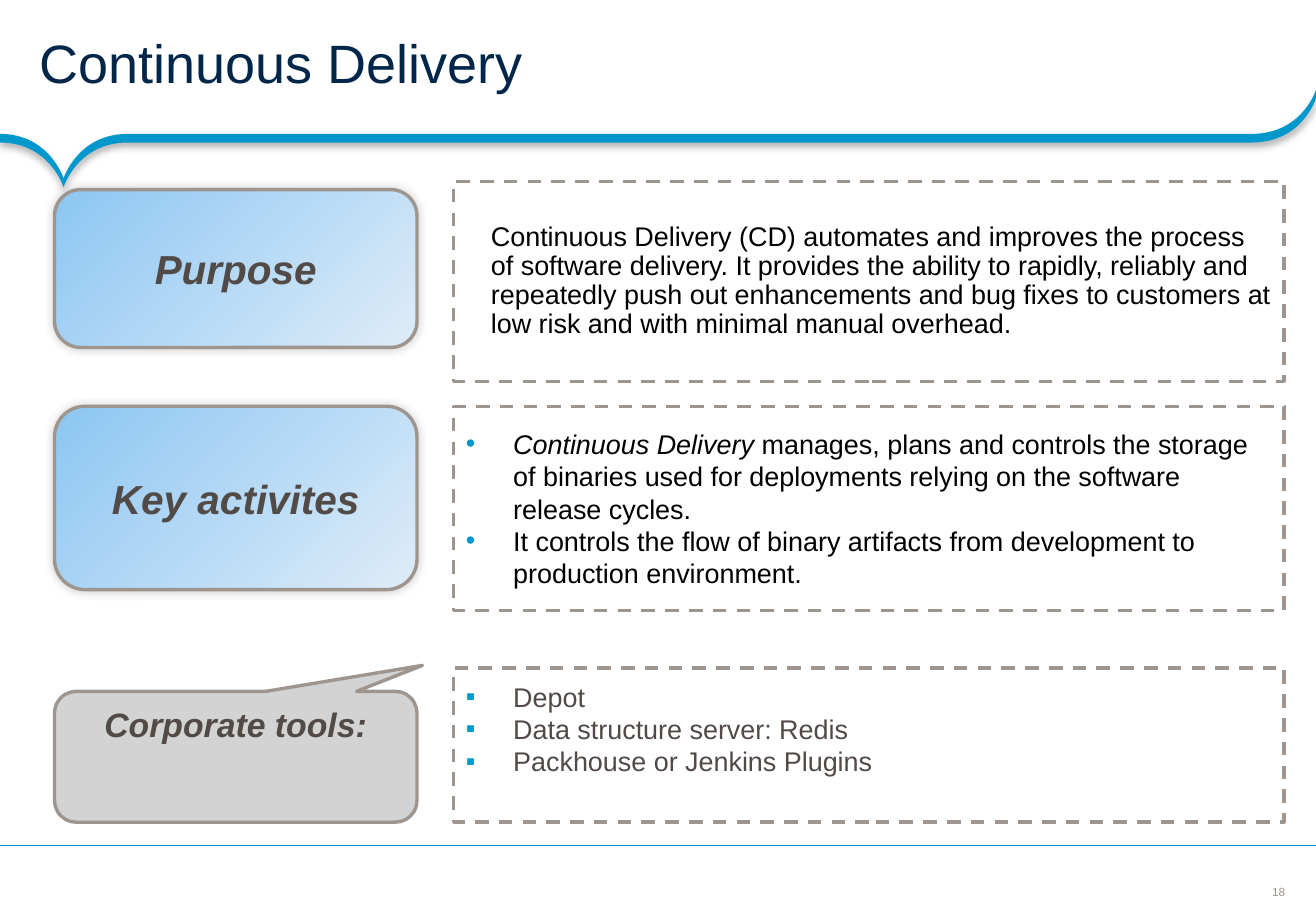
from lxml import etree
from pptx import Presentation
from pptx.dml.color import RGBColor
from pptx.enum.dml import MSO_LINE
from pptx.enum.shapes import MSO_CONNECTOR, MSO_SHAPE
from pptx.enum.text import MSO_ANCHOR, MSO_AUTO_SIZE, PP_ALIGN
from pptx.oxml.ns import qn
from pptx.util import Pt

COLORS = {"blue": "0098CC", "navy": "00264A", "taupe": "9F958F", "brown": "514A46",
          "sky": "8CC6F2", "pale": "DEECF9", "grey": "D3D3D3", "white": "FFFFFF",
          "black": "000000"}
WIDTH, HEIGHT = 780, 540
LABEL_X, LABEL_W = 32.3, 214.9
PANEL_X, PANEL_W = 268.9, 492.3


def rgb(name):
    return RGBColor.from_string(COLORS[name])


def place(sp, x, y, w, h):
    sp.left, sp.top, sp.width, sp.height = Pt(x), Pt(y), Pt(w), Pt(h)


def style_runs(p, size, color, bold=False, italic=False):
    for r in p.runs:
        f = r.font
        f.name, f.size, f.bold, f.italic = "Arial", Pt(size), bold, italic
        f.color.rgb = rgb(color)


def outline(sp, dashed=False):
    sp.line.color.rgb = rgb("taupe")
    sp.line.width = Pt(2)
    if dashed:
        sp.line.dash_style = MSO_LINE.DASH


def add_shadow(sp, blur, dist, angle, alpha):
    sp.shadow.inherit = False
    effects = sp._element.spPr.find(qn("a:effectLst"))
    shadow = etree.SubElement(effects, qn("a:outerShdw"), blurRad=str(Pt(blur)),
                              dist=str(Pt(dist)), dir=str(angle * 60000),
                              algn="ctr", rotWithShape="0")
    color = etree.SubElement(shadow, qn("a:srgbClr"), val=COLORS["black"])
    etree.SubElement(color, qn("a:alpha"), val=str(alpha * 1000))


def ribbon_edge(y):
    """Start, then three Bezier points per piece, left to right, level part at y."""
    tip, corner = (37.7, y + 26.4), (WIDTH, y - 26.2)
    left, right = (75.6, y), (741.9, y)
    return [(0, y), (29.3, y), tip, tip,
            tip, (46.1, y), left,
            left, right, right,
            (772, y), corner, corner]


def add_ribbon(s, top, bottom):
    upper, lower = ribbon_edge(top), ribbon_edge(bottom)[::-1]
    ys = [y for _, y in upper + lower]
    y0, y1 = min(ys), max(ys)
    builder = s.shapes.build_freeform(0, Pt(y0), scale=1)
    builder.add_line_segments([(Pt(WIDTH), Pt(y0)), (Pt(WIDTH), Pt(y1)), (0, Pt(y1))])
    sp = builder.convert_to_shape()
    outline_path = next(sp._element.iter(qn("a:path")))
    for child in list(outline_path):
        outline_path.remove(child)

    def draw(tag, points):
        step = etree.SubElement(outline_path, qn(tag))
        for x, y in points:
            etree.SubElement(step, qn("a:pt"), x=str(Pt(x)), y=str(Pt(y - y0)))

    for tag, edge in (("a:moveTo", upper), ("a:lnTo", lower)):
        draw(tag, edge[:1])
        for i in range(1, len(edge), 3):
            draw("a:cubicBezTo", edge[i:i + 3])
    draw("a:close", [])
    sp.fill.solid()
    sp.fill.fore_color.rgb = rgb("blue")
    sp.line.fill.background()
    add_shadow(sp, 4, 2, 90, 31)


def add_footer(s, y):
    line = s.shapes.add_connector(MSO_CONNECTOR.STRAIGHT, Pt(WIDTH), Pt(y), 0, Pt(y))
    line.line.color.rgb = rgb("blue")
    line.line.width = Pt(0.75)
    etree.SubElement(line._element.spPr, qn("a:effectLst"))
    tf = s.shapes.add_textbox(Pt(753.5), Pt(y + 23.3), Pt(8.6), Pt(8.6)).text_frame
    tf.margin_left = tf.margin_right = tf.margin_top = tf.margin_bottom = 0
    tf.vertical_anchor = MSO_ANCHOR.MIDDLE
    tf.word_wrap = False
    p = tf.paragraphs[0]
    p.text, p.alignment = "18", PP_ALIGN.CENTER
    style_runs(p, 7, "taupe")


def add_title(s, text):
    sp = s.shapes.title
    place(sp, 0, 0, WIDTH, 79.4)
    tf = sp.text_frame
    tf.text = text
    tf.auto_size = MSO_AUTO_SIZE.NONE
    tf.vertical_anchor = MSO_ANCHOR.MIDDLE
    tf.margin_left, tf.margin_right = Pt(23.4), Pt(13)
    tf.margin_top = tf.margin_bottom = Pt(2.9)
    p = tf.paragraphs[0]
    p.alignment, p.line_spacing = PP_ALIGN.LEFT, 0.85
    style_runs(p, 32, "navy")


def add_label(s, text, y, h, size=24, kind=MSO_SHAPE.ROUNDED_RECTANGLE):
    sp = s.shapes.add_shape(kind, Pt(LABEL_X), Pt(y), Pt(LABEL_W), Pt(h))
    sp.shadow.inherit = False
    outline(sp)
    tf = sp.text_frame
    tf.word_wrap = True
    tf.vertical_anchor = MSO_ANCHOR.MIDDLE
    p = tf.paragraphs[0]
    p.text, p.alignment = text, PP_ALIGN.CENTER
    style_runs(p, size, "brown", bold=True, italic=True)
    return sp


def add_gradient_label(s, text, y, h):
    sp = add_label(s, text, y, h)
    sp.fill.gradient()
    sp.fill.gradient_angle = 315
    for stop, name in zip(sp.fill.gradient_stops, ("sky", "pale")):
        stop.color.rgb = rgb(name)
    add_shadow(sp, 6, 0, 225, 20)


def add_callout_label(s, text, y, h):
    sp = add_label(s, text, y, h, 20, MSO_SHAPE.ROUNDED_RECTANGULAR_CALLOUT)
    for i, value in enumerate((0.515, -0.698, 0.167)):
        sp.adjustments[i] = value
    sp.fill.solid()
    sp.fill.fore_color.rgb = rgb("grey")
    sp.text_frame.vertical_anchor = MSO_ANCHOR.TOP


def style_panel(sp, y, h):
    place(sp, PANEL_X, y, PANEL_W, h)
    sp.fill.solid()
    sp.fill.fore_color.rgb = rgb("white")
    outline(sp, dashed=True)
    tf = sp.text_frame
    tf.word_wrap = True
    tf.auto_size = MSO_AUTO_SIZE.NONE
    tf.vertical_anchor = MSO_ANCHOR.MIDDLE
    return tf


def add_text_panel(s, text, y, h):
    sp = s.shapes.add_shape(MSO_SHAPE.RECTANGLE, 0, 0, Pt(PANEL_W), Pt(h))
    sp.shadow.inherit = False
    p = style_panel(sp, y, h).paragraphs[0]
    p.text, p.alignment, p.line_spacing = text, PP_ALIGN.LEFT, 0.9
    p._p.get_or_add_pPr().set("marL", str(Pt(15)))
    style_runs(p, 16, "black")


def fill_list_panel(sp, items, y, h, bullet, color):
    tf = style_panel(sp, y, h)
    tf.text = "\n".join(items)
    for p in tf.paragraphs:
        pPr = p._p.get_or_add_pPr()
        pPr.set("marL", str(Pt(28.1)))
        pPr.set("indent", str(-Pt(28.1)))
        bullet_color = etree.SubElement(pPr, qn("a:buClr"))
        etree.SubElement(bullet_color, qn("a:srgbClr"), val=COLORS["blue"])
        etree.SubElement(pPr, qn("a:buChar"), char=bullet)
        p.space_before = Pt(0)
        style_runs(p, 16, color)
    return tf


def main():
    prs = Presentation()
    prs.slide_width, prs.slide_height = Pt(WIDTH), Pt(HEIGHT)
    s = prs.slides.add_slide(prs.slide_layouts[3])
    activities, tools = s.placeholders[1], s.placeholders[2]

    add_ribbon(s, 79.4, 84.5)
    add_footer(s, 501.1)
    add_title(s, "Continuous Delivery")

    add_gradient_label(s, "Purpose", 112.4, 93.6)
    add_text_panel(s, "Continuous Delivery (CD) automates and improves the process of "
                   "software delivery. It provides the ability to rapidly, reliably and "
                   "repeatedly push out enhancements and bug fixes to customers at low "
                   "risk and with minimal manual overhead.", 107.5, 118.6)

    add_gradient_label(s, "Key activites", 240.8, 108.7)
    tf = fill_list_panel(activities, [
        "Continuous Delivery ",
        "It controls the flow of binary artifacts from development to production "
        "environment."], 240.8, 121, "•", "black")
    p = tf.paragraphs[0]
    p.add_run().text = ("manages, plans and controls the storage of binaries used for "
                        "deployments relying on the software release cycles.")
    style_runs(p, 16, "black")
    p.runs[0].font.italic = True

    add_callout_label(s, "Corporate tools:", 409.8, 77.6)
    tf = fill_list_panel(tools, ["Depot", "Data structure server: Redis",
                                 "Packhouse or Jenkins Plugins"],
                         396, 91.4, "▪", "brown")
    tf.margin_bottom = Pt(23)

    prs.save("out.pptx")


if __name__ == "__main__":
    main()
